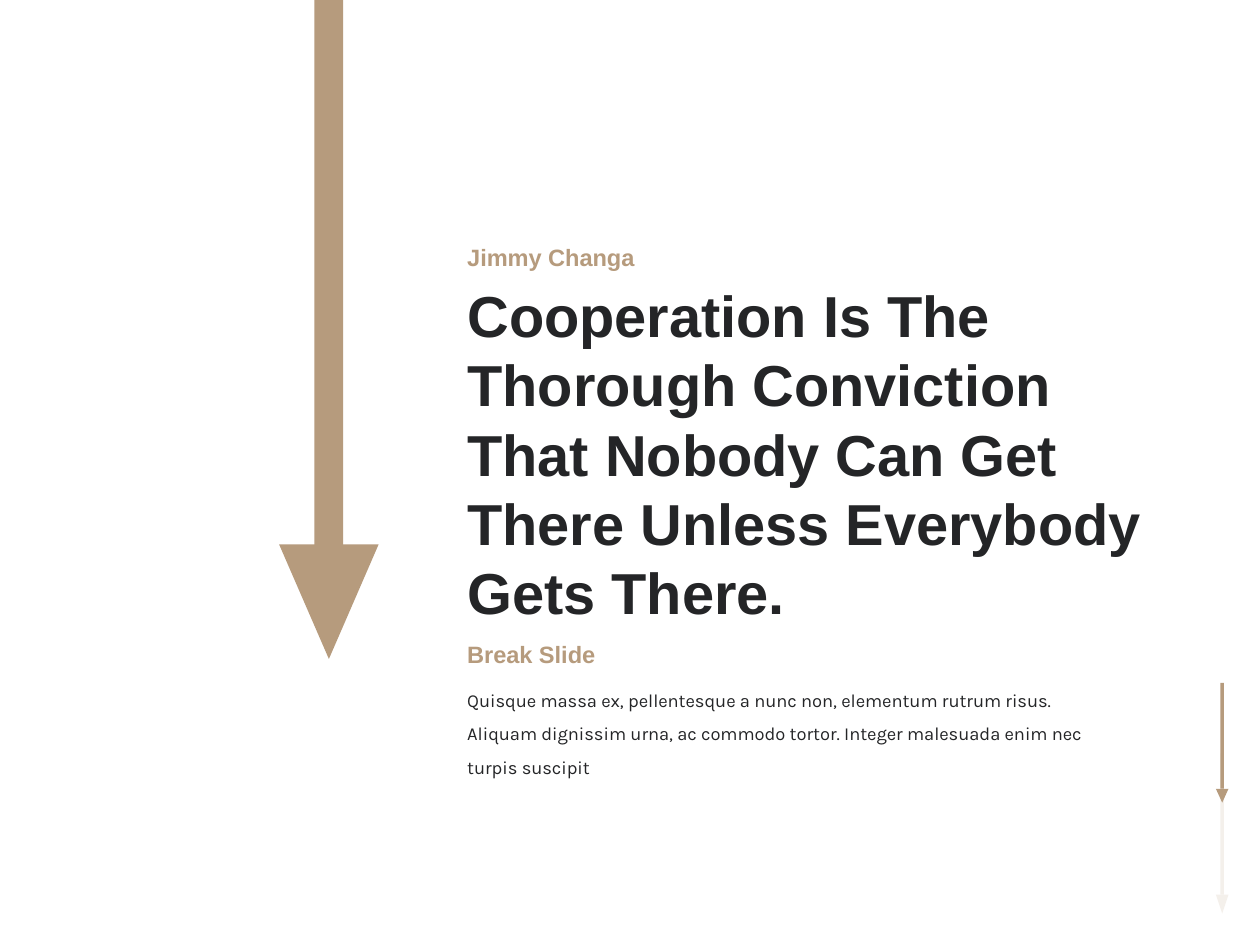
from lxml import etree
from pptx import Presentation
from pptx.dml.color import RGBColor
from pptx.enum.shapes import MSO_SHAPE
from pptx.enum.text import MSO_ANCHOR, MSO_AUTO_SIZE, PP_ALIGN
from pptx.oxml.ns import qn
from pptx.util import Inches, Pt

RECTANGLE = MSO_SHAPE.RECTANGLE
TRIANGLE = MSO_SHAPE.ISOSCELES_TRIANGLE
TOP = MSO_ANCHOR.TOP
LEFT = PP_ALIGN.LEFT
GROW = MSO_AUTO_SIZE.SHAPE_TO_FIT_TEXT

COLORS = {"tan": "B69B7D", "ink": "242527", "white": "FFFFFF"}
TEXT_LEFT = 3.61


def add_block(shapes, kind, left, top, width, height, color):
    """Add a flat shape without outline or shadow."""
    block = shapes.add_shape(kind, Inches(left), Inches(top), Inches(width), Inches(height))
    block.shadow.inherit = False
    block.fill.solid()
    block.fill.fore_color.rgb = RGBColor.from_string(COLORS[color])
    block.line.fill.background()
    return block


def write_text(box, text, size, font, color, bold, line_height):
    """Fill a text box with one paragraph per line; line_height is in points."""
    frame = box.text_frame
    frame.text = text
    frame.word_wrap = True
    frame.auto_size = GROW
    frame.vertical_anchor = TOP
    for paragraph in frame.paragraphs:
        paragraph.alignment = LEFT
        paragraph.line_spacing = Pt(line_height)
        paragraph.space_before = Pt(0)
        paragraph.font.size = Pt(size)
        paragraph.font.name = font
        paragraph.font.bold = bold
        paragraph.font.color.rgb = RGBColor.from_string(COLORS[color])


prs = Presentation()
prs.slide_width = Inches(10)
prs.slide_height = Inches(7.5)
slide = prs.slides.add_slide(prs.slide_layouts[5])

# Down arrows: centre x, shaft top, height and width, head top, width and height
arrows = [
    (9.7, 5.98, 1.12, 0.03, 7.1, 0.1, 0.15),
    (9.7, 5.42, 0.84, 0.03, 6.26, 0.1, 0.11),
    (2.61, 0, 4.33, 0.23, 4.32, 0.79, 0.91),
]
for index, (center, top, length, thickness, head_top, head_width, head_height) in enumerate(arrows):
    arrow = slide.shapes.add_group_shape()
    add_block(arrow.shapes, RECTANGLE, center - thickness / 2, top, thickness, length, "tan")
    head = add_block(arrow.shapes, TRIANGLE, center - head_width / 2, head_top,
                     head_width, head_height, "tan")
    head.rotation = 180

    # A translucent veil fades the first arrow only
    if index == 0:
        veil = add_block(slide.shapes, RECTANGLE, 1.47, 0, 8.53, 7.5, "white")
        veil_color = veil.fill._xPr.find(qn("a:solidFill")).find(qn("a:srgbClr"))
        etree.SubElement(veil_color, qn("a:alpha"), val="85000")

quote = slide.shapes.title
quote.left, quote.top = Inches(TEXT_LEFT), Inches(2.17)
quote.width, quote.height = Inches(5.79), Inches(2.88)
quote_lines = [
    "Cooperation Is The",
    "Thorough Conviction",
    "That Nobody Can Get",
    "There Unless Everybody",
    "Gets There.",
]
write_text(quote, "\n".join(quote_lines), 33, "Arial", "ink", True, 39.6)
slide.shapes._spTree.append(quote._element)  # in front of the veil

passages = [
    ("Jimmy Changa", 1.88, 1.81, 0.33, 13.5, "Arial", "tan", True, 16.2),
    ("Quisque massa ex, pellentesque a nunc non, elementum rutrum risus. "
     "Aliquam dignissim urna, ac commodo tortor. Integer malesuada enim nec "
     "turpis suscipit", 5.33, 5.41, 0.6, 10.5, "Karla", "ink", False, 19.1),
    ("Break Slide", 5.03, 1.67, 0.33, 13.5, "Arial", "tan", True, 16.2),
]
for text, top, width, height, *style in passages:
    passage = slide.shapes.add_textbox(Inches(TEXT_LEFT), Inches(top), Inches(width), Inches(height))
    write_text(passage, text, *style)

prs.save("out.pptx")
